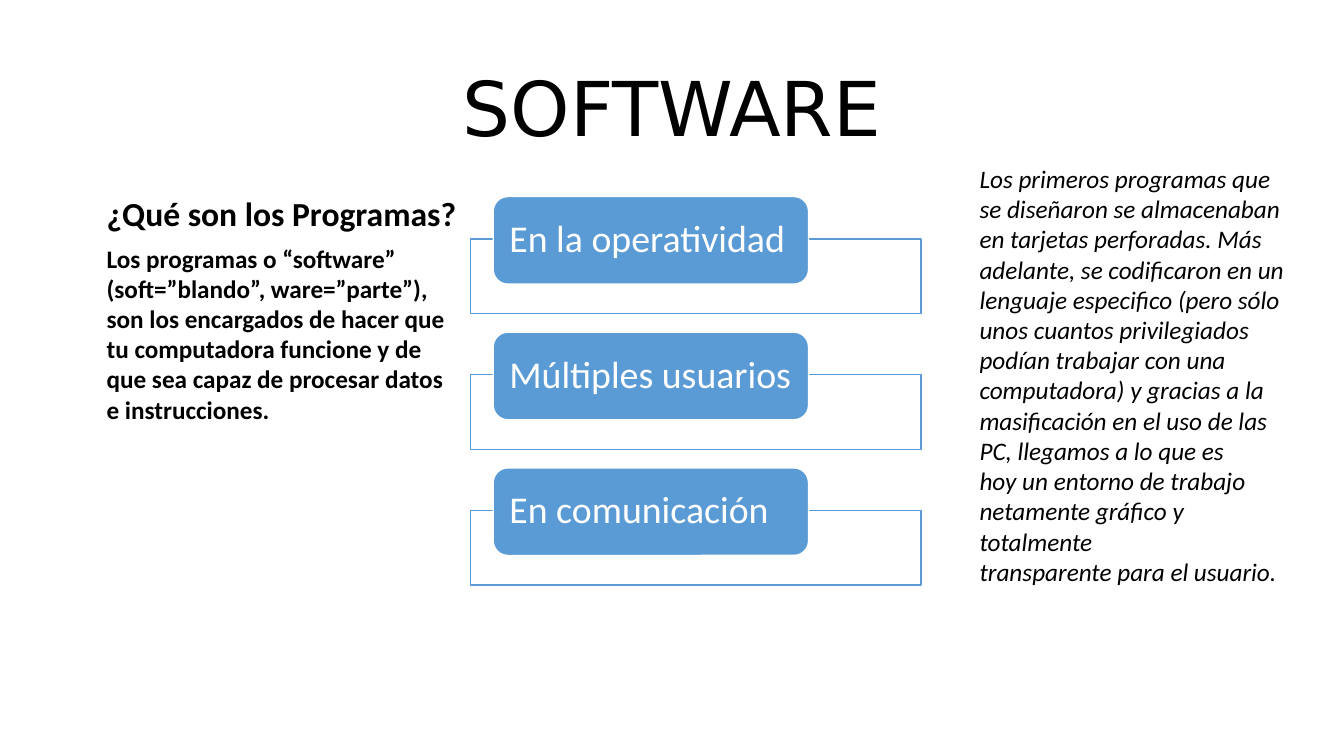
from dataclasses import dataclass

from lxml.etree import SubElement
from pptx import Presentation
from pptx.dml.color import RGBColor
from pptx.enum.shapes import MSO_SHAPE as Preset
from pptx.enum.text import MSO_ANCHOR as Anchor, MSO_AUTO_SIZE as AutoSize, PP_ALIGN as Align
from pptx.oxml.ns import qn
from pptx.util import Pt


@dataclass(frozen=True)
class Theme:
    black: RGBColor = RGBColor.from_string("000000")
    white: RGBColor = RGBColor.from_string("FFFFFF")
    blue: RGBColor = RGBColor.from_string("5B9BD5")
    title_font: str = "DejaVu Sans"
    body_font: str = "Calibri"
    title_size: int = 54
    label_size: int = 27
    heading_size: int = 24
    body_size: int = 18


THEME = Theme()

QUESTION = "¿Qué son los Programas?"
ANSWER = [
    "Los programas o “software” (soft=”blando”, ware=”parte”), son los encargados "
    "de hacer que tu computadora funcione y de",
    "que sea capaz de procesar datos e instrucciones.",
]
AREAS = ["En la operatividad", "Múltiples usuarios", "En comunicación"]
HISTORY = [
    "Los primeros programas que se diseñaron se almacenaban",
    "en tarjetas perforadas. Más adelante, se codificaron en un",
    "lenguaje especifico (pero sólo unos cuantos privilegiados",
    "podían trabajar con una computadora) y gracias a la",
    "masificación en el uso de las PC, llegamos a lo que es",
    "hoy un entorno de trabajo netamente gráfico y totalmente",
    "transparente para el usuario.",
]


def write(frame, lines, size, color=THEME.black, font=THEME.body_font,
          bold=False, italic=False, align=Align.LEFT):
    frame.text = "\n".join(lines)
    for para in frame.paragraphs:
        para.alignment = align
        for span in para.runs:
            span.font.name = font
            span.font.size = Pt(size)
            span.font.color.rgb = color
            span.font.bold = bold
            span.font.italic = italic


def add_text(page, box, lines, size, wrap=True, **style):
    frame = page.shapes.add_textbox(*map(Pt, box)).text_frame
    frame.word_wrap = wrap
    frame.auto_size = AutoSize.SHAPE_TO_FIT_TEXT
    write(frame, lines, size, **style)


def add_filled(page, preset, box, fill, line=None, opacity=100):
    shape = page.shapes.add_shape(preset, *map(Pt, box))
    shape.shadow.inherit = False
    shape.fill.solid()
    shape.fill.fore_color.rgb = fill
    if opacity < 100:
        color = shape.fill._xPr.find(qn("a:solidFill"))[0]
        SubElement(color, qn("a:alpha"), val=str(opacity * 1000))
    if line is None:
        shape.line.fill.background()
    else:
        shape.line.color.rgb = line
        shape.line.width = Pt(1)
    return shape


def add_title(page, box):
    banner = add_filled(page, Preset.RECTANGLE, box, THEME.white, opacity=66)
    frame = banner.text_frame
    frame.word_wrap = True
    frame.vertical_anchor = Anchor.TOP
    frame.auto_size = AutoSize.SHAPE_TO_FIT_TEXT
    write(frame, ["SOFTWARE"], THEME.title_size, font=THEME.title_font, align=Align.CENTER)


def add_question(page, box):
    left, top, width, height = box
    heading_height = 36
    add_text(page, (left, top, width, heading_height), [QUESTION],
             THEME.heading_size, wrap=False, bold=True)
    add_text(page, (left, top + heading_height, width, height - heading_height),
             ANSWER, THEME.body_size, bold=True)


def add_areas(page, box):
    left, top, width, height = box
    tab_height, panel_height, panel_drop = 62.6, 53.3, 30.4
    pitch = (height - panel_drop - panel_height) / (len(AREAS) - 1)
    for index, area in enumerate(AREAS):
        tab_top = top + index * pitch
        add_filled(page, Preset.RECTANGLE, (left, tab_top + panel_drop, width, panel_height),
                   THEME.white, THEME.blue, opacity=90)
        tab = add_filled(page, Preset.ROUNDED_RECTANGLE,
                         (left + width * 0.05, tab_top, width * 0.7, tab_height),
                         THEME.blue, THEME.white)
        frame = tab.text_frame
        frame.word_wrap = True
        frame.vertical_anchor = Anchor.MIDDLE
        frame.margin_left = frame.margin_right = Pt(8.5)
        frame.margin_top = frame.margin_bottom = 0
        write(frame, [area], THEME.label_size, color=THEME.white)
        frame.paragraphs[0].line_spacing = 0.9


def add_history(page, box):
    add_text(page, box, HISTORY, THEME.body_size, italic=True)


def main():
    deck = Presentation()
    deck.slide_width, deck.slide_height = Pt(960), Pt(540)
    page = deck.slides.add_slide(deck.slide_layouts[6])
    add_title(page, (0, 40.3, 960, 72.7))
    add_question(page, (69.1, 133.9, 266.4, 174.2))
    add_areas(page, (336.2, 140.4, 321.8, 277.5))
    add_history(page, (692.6, 113, 238.3, 312.5))
    deck.save("out.pptx")


if __name__ == "__main__":
    main()
